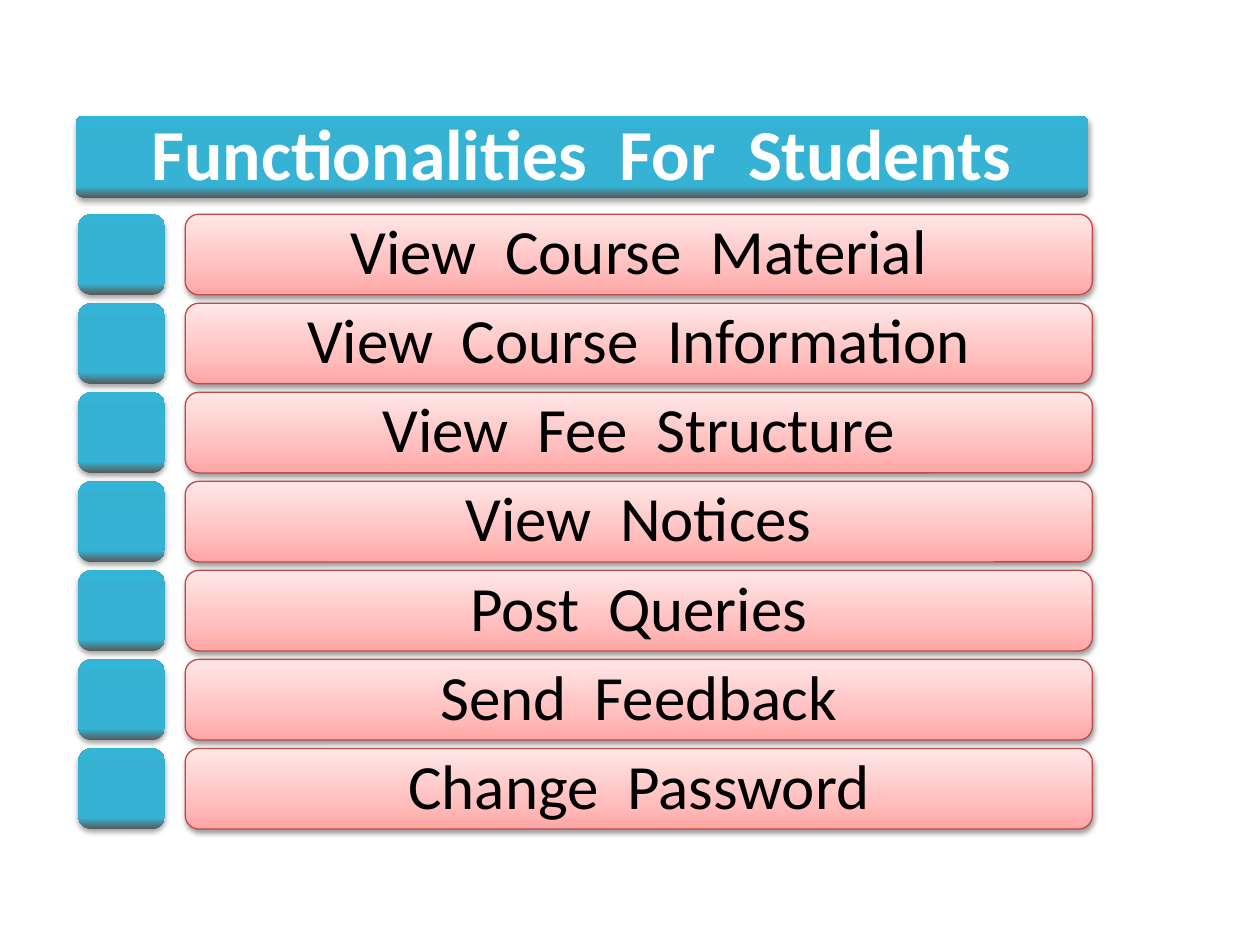
"""Build a slide listing the functionalities available to students."""
from lxml import etree
from pptx import Presentation
from pptx.dml.color import RGBColor
from pptx.enum import shapes, text
from pptx.oxml.ns import qn
from pptx.util import Inches, Pt

WHITE = RGBColor(0xFF, 0xFF, 0xFF)
BLACK = RGBColor(0x00, 0x00, 0x00)
RED = RGBColor(0xBF, 0x4C, 0x48)
TEAL_STOPS = [
    (0, RGBColor(0x59, 0x59, 0x59)),
    (14, RGBColor(0x35, 0xB2, 0xD4)),
    (73, RGBColor(0x37, 0xB1, 0xD2)),
    (100, RGBColor(0x34, 0xB4, 0xD6)),
]
PINK_STOPS = [
    (0, RGBColor(0xFF, 0xA6, 0xA5)),
    (35, RGBColor(0xFF, 0xC0, 0xBF)),
    (100, RGBColor(0xFF, 0xE7, 0xE7)),
]
FUNCTIONALITIES = [
    "View  Course  Material",
    "View  Course  Information",
    "View  Fee  Structure",
    "View  Notices",
    "Post  Queries",
    "Send  Feedback",
    "Change  Password",
]
FIRST_TOP, LAST_TOP, ROW_HEIGHT = 1.7, 5.94, 0.64
ROW_PITCH = (LAST_TOP - FIRST_TOP) / (len(FUNCTIONALITIES) - 1)

presentation = Presentation()
presentation.slide_width = Inches(10)
presentation.slide_height = Inches(7.5)
slide = presentation.slides.add_slide(presentation.slide_layouts[6])


def add_bar(left, top, width, height, corner, stops, shadow_alpha, shadow_distance):
    shape = slide.shapes.add_shape(
        shapes.MSO_SHAPE.ROUNDED_RECTANGLE,
        Inches(left), Inches(top), Inches(width), Inches(height),
    )
    shape.adjustments[0] = corner
    shape.line.fill.background()
    shape.fill.gradient()
    shape.fill.gradient_angle = 90
    properties = shape._element.spPr
    stop_list = properties.find(qn("a:gradFill")).find(qn("a:gsLst"))
    for old_stop in list(stop_list):
        stop_list.remove(old_stop)
    for position, color in stops:
        stop = etree.SubElement(stop_list, qn("a:gs"), pos=str(position * 1000))
        etree.SubElement(stop, qn("a:srgbClr"), val=str(color))
    shape.shadow.inherit = False
    shadow = etree.SubElement(
        properties.find(qn("a:effectLst")), qn("a:outerShdw"),
        blurRad=str(Pt(3.1)), dist=str(Pt(shadow_distance)), dir="5400000", rotWithShape="0",
    )
    shadow_color = etree.SubElement(shadow, qn("a:srgbClr"), val=str(BLACK))
    etree.SubElement(shadow_color, qn("a:alpha"), val=str(shadow_alpha * 1000))
    return shape


def write_label(shape, label, size, color, bold, side_margin):
    frame = shape.text_frame
    frame.word_wrap = True
    frame.vertical_anchor = text.MSO_ANCHOR.MIDDLE
    frame.margin_left = frame.margin_right = Inches(side_margin)
    frame.margin_top = frame.margin_bottom = 0
    paragraph = frame.paragraphs[0]
    paragraph.text = label
    paragraph.alignment = text.PP_ALIGN.CENTER
    paragraph.line_spacing = 0.9
    paragraph.font.name = "Calibri"
    paragraph.font.size = Pt(size)
    paragraph.font.bold = bold
    paragraph.font.color.rgb = color


title = add_bar(0.6, 0.92, 8.04, 0.65, 0.1, TEAL_STOPS, 35, 1.8)
write_label(title, "Functionalities  For  Students", 41, WHITE, True, 0.11)

for row, functionality in enumerate(FUNCTIONALITIES):
    top = FIRST_TOP + row * ROW_PITCH
    add_bar(0.62, top, 0.69, ROW_HEIGHT, 0.17, TEAL_STOPS, 35, 1.8)
    bar = add_bar(1.47, top, 7.2, ROW_HEIGHT, 0.17, PINK_STOPS, 38, 1.6)
    bar.line.color.rgb = RED
    bar.line.width = Pt(0.75)
    write_label(bar, functionality, 36, BLACK, False, 0.33)

presentation.save("out.pptx")
